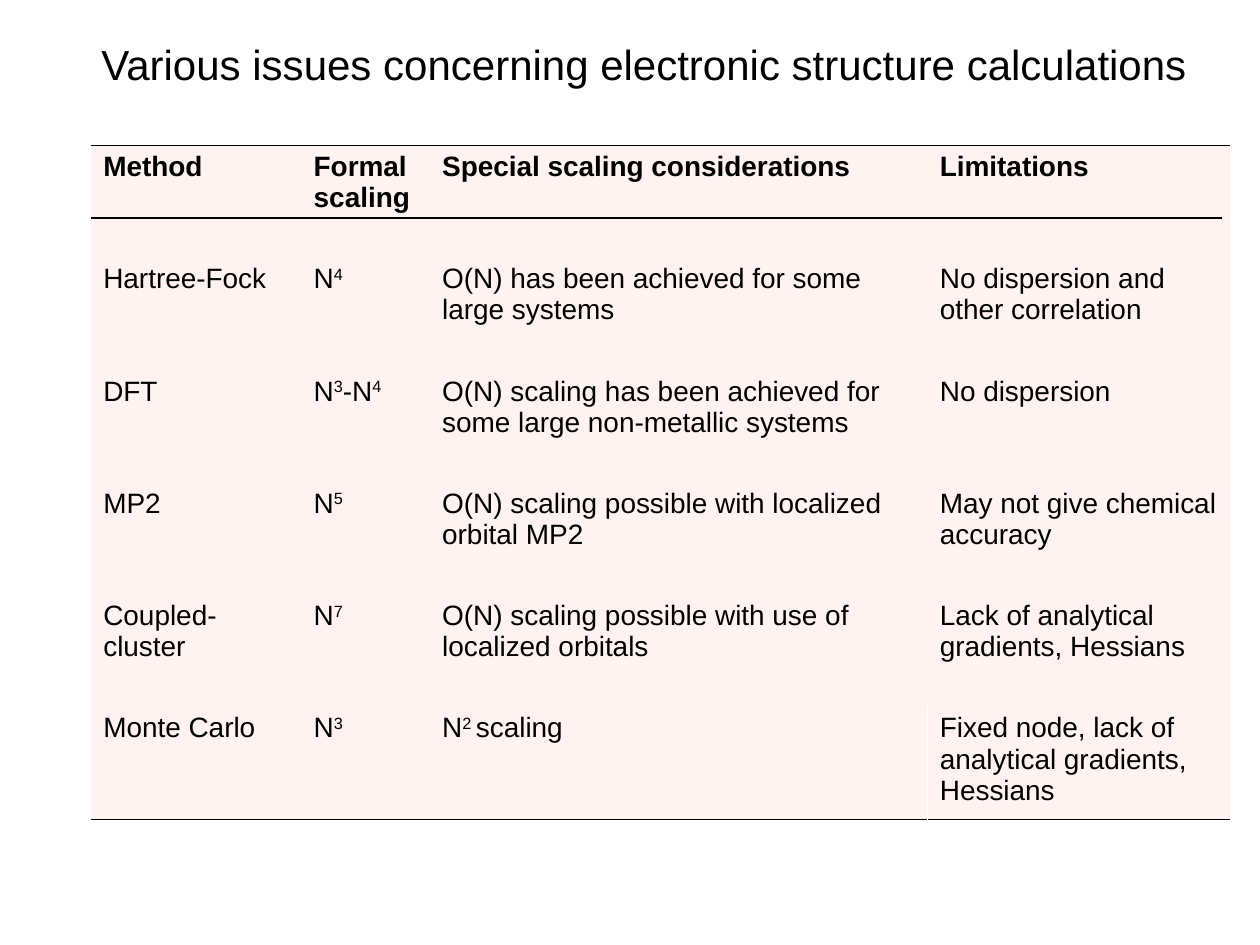
from pptx import Presentation
from pptx.dml.color import RGBColor
from pptx.enum.shapes import MSO_CONNECTOR as CONN
from pptx.enum.text import MSO_AUTO_SIZE as AUTO, PP_ALIGN as ALIGN
from pptx.oxml import parse_xml
from pptx.oxml.ns import nsdecls
from pptx.util import Inches, Pt

COLORS = {"ink": "000000", "cell": "FEF3F0", "gap": "FFFFFF"}
TITLE = {"size": Pt(24), "name": "Arial", "bold": False}
HEAD = {"size": Pt(16), "name": "Arial", "bold": True}
BODY = {**HEAD, "bold": False}

COL_WIDTHS = [1.67, 1.02, 3.95, 2.4]
# Text between carets is superscript
ROWS = [
    ["Method", "Formal scaling", "Special scaling considerations", "Limitations"],
    ["Hartree-Fock", "N^4", "O(N) has been achieved for some large systems",
     "No dispersion and other correlation"],
    ["DFT", "N^3^-N^4", "O(N) scaling has been achieved for some large non-metallic systems",
     "No dispersion"],
    ["MP2", "N^5", "O(N) scaling possible with localized orbital MP2",
     "May not give chemical accuracy"],
    ["Coupled-cluster", "N^7", "O(N) scaling possible with use of localized orbitals",
     "Lack of analytical gradients, Hessians"],
    ["Monte Carlo", "N^3", "N^2 ^scaling",
     "Fixed node, lack of analytical gradients, Hessians"],
]


def rgb(key):
    return RGBColor.from_string(COLORS[key])


def write(p, text, fmt):
    for i, part in enumerate(text.split("^")):
        r = p.add_run()
        r.text = part
        for name, value in fmt.items():
            setattr(r.font, name, value)
        r.font.color.rgb = rgb("ink")
        if i % 2:
            r._r.get_or_add_rPr().set("baseline", "30000")


def set_borders(cell, borders):
    tc_pr = cell._tc.get_or_add_tcPr()
    for side in "LRTB":
        color = borders.get(side)
        fill = (f'<a:solidFill><a:srgbClr val="{COLORS[color]}"/></a:solidFill>'
                if color else "<a:noFill/>")
        tc_pr.append(parse_xml(
            f'<a:ln{side} {nsdecls("a")} w="{Pt(0.45)}">{fill}</a:ln{side}>'))


def add_title(slide, x, y, w, h):
    tf = slide.shapes.add_textbox(Inches(x), Inches(y), Inches(w), Inches(h)).text_frame
    tf.word_wrap = True
    tf.auto_size = AUTO.SHAPE_TO_FIT_TEXT
    p = tf.paragraphs[0]
    p.alignment = ALIGN.CENTER
    write(p, "Various issues concerning electronic structure calculations", TITLE)


def add_methods_table(slide, x, y, w, h):
    table = slide.shapes.add_table(len(ROWS), len(COL_WIDTHS), Inches(x), Inches(y),
                                   Inches(w), Inches(h)).table
    table.first_row = table.horz_banding = False
    for col, width in zip(table.columns, COL_WIDTHS):
        col.width = Inches(width)

    last = len(ROWS) - 1
    for i, row in enumerate(ROWS):
        for j, text in enumerate(row):
            cell = table.cell(i, j)
            borders = {}
            if i == 0:
                borders["T"] = "ink"
            if i == last:
                borders["B"] = "ink"
                # Pale gap before the last column
                if j in (2, 3):
                    borders["R" if j == 2 else "L"] = "gap"
            set_borders(cell, borders)
            cell.fill.solid()
            cell.fill.fore_color.rgb = rgb("cell")
            write(cell.text_frame.paragraphs[0], text, BODY if i else HEAD)

    # Rule under the header
    rule_y = Inches(y + 0.58)
    rule = slide.shapes.add_connector(CONN.STRAIGHT, Inches(x), rule_y,
                                      Inches(x + 8.98), rule_y)
    rule.line.color.rgb = rgb("ink")
    rule.line.width = Pt(0.75)
    rule._element.spPr.append(parse_xml(f'<a:effectLst {nsdecls("a")}/>'))


def main():
    prs = Presentation()
    prs.slide_width, prs.slide_height = Inches(10), Inches(7.5)
    slide = prs.slides.add_slide(prs.slide_layouts[6])
    add_title(slide, 0.51, 0.26, 9.2, 0.5)
    add_methods_table(slide, 0.72, 1.15, sum(COL_WIDTHS), 5.35)
    prs.save("out.pptx")


if __name__ == "__main__":
    main()
